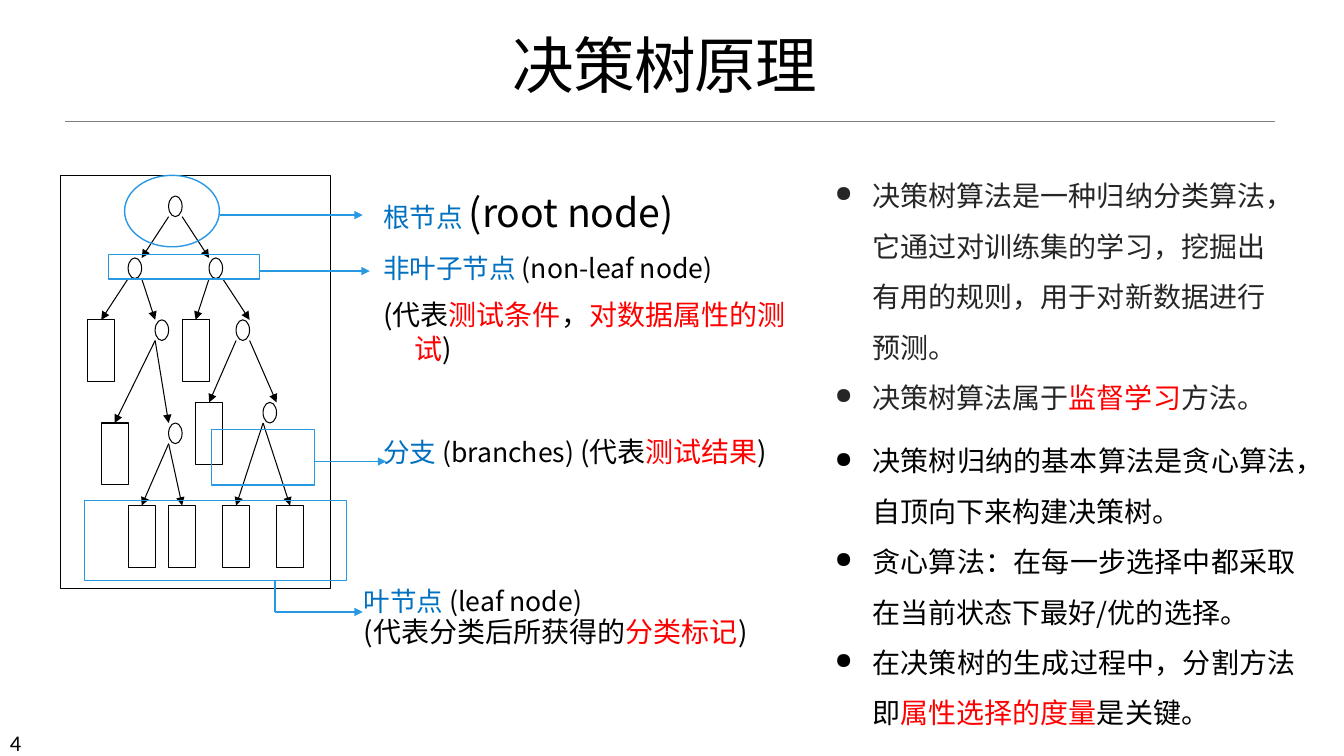
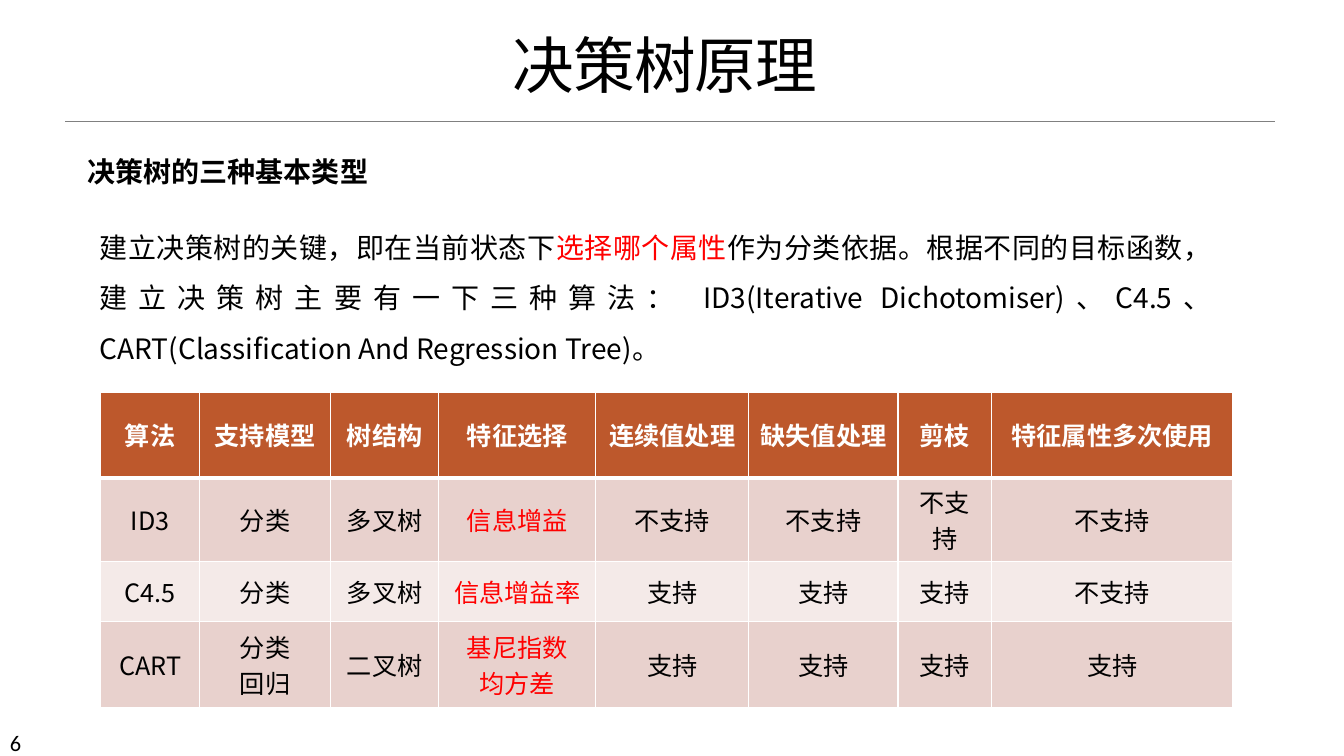
import dataclasses

import lxml.etree
import pptx
import pptx.dml.color
import pptx.enum.shapes
import pptx.enum.text
import pptx.oxml.ns
import pptx.util

Cm = pptx.util.Cm
Pt = pptx.util.Pt
qn = pptx.oxml.ns.qn
RGB = pptx.dml.color.RGBColor.from_string
ALIGN = pptx.enum.text.PP_ALIGN
SHAPE = pptx.enum.shapes.MSO_SHAPE


@dataclasses.dataclass(frozen=True)
class Theme:
    font: str = "Noto Sans CJK SC"
    number_font: str = "Calibri"
    black: str = "000000"
    white: str = "FFFFFF"
    charcoal: str = "262626"
    gray: str = "808080"
    red: str = "FF0000"
    label: str = "0070C0"
    callout: str = "2998E3"
    header: str = "BD582C"
    band_dark: str = "E8D1CD"
    band_light: str = "F4EAE8"
    title_size: int = 44
    root_size: int = 28
    body_size: int = 20
    label_size: int = 19
    table_size: int = 18
    number_size: int = 16
    loose: float = 1.5
    tight: float = 0.5


THEME = Theme()


def write(frame, paras, size=THEME.body_size, color=THEME.black, font=THEME.font,
          bold=False, align=ALIGN.LEFT, spacing=1.0, before=0, left=0, hanging=0,
          bullet=None, tracking=None):
    """Fill a frame; a span is plain text or (text, color[, size])."""
    for index, spans in enumerate(paras):
        para = frame.paragraphs[0] if index == 0 else frame.add_paragraph()
        para.alignment = align
        para.line_spacing = spacing
        if before and index:
            para.space_before = Pt(before)
        properties = para._p.get_or_add_pPr()
        if left:
            properties.set("marL", str(Cm(left)))
            properties.set("indent", str(-Cm(hanging)))
        if bullet:
            lxml.etree.SubElement(properties, qn("a:buSzPct")).set("val", "80000")
            lxml.etree.SubElement(properties, qn("a:buChar")).set("char", bullet)
        for item in [spans] if isinstance(spans, str) else spans:
            text, *own = (item,) if isinstance(item, str) else item
            span = para.add_run()
            span.text = text
            span.font.color.rgb = RGB(own[0] if own else color)
            span.font.size = Pt(own[1] if len(own) > 1 else size)
            span.font.bold = bold
            span.font.name = font
            run_properties = span._r.get_or_add_rPr()
            lxml.etree.SubElement(run_properties, qn("a:ea")).set("typeface", font)
            if tracking:
                run_properties.set("spc", str(tracking))


def draw_line(shapes, start, end, color, width, arrow=True, target=None):
    """Draw a line between points in cm; target is a box joined at its top."""
    line = shapes.add_connector(pptx.enum.shapes.MSO_CONNECTOR.STRAIGHT,
                                *(Cm(value) for value in (*start, *end)))
    if target is not None:
        line.end_connect(target, 0)
    line.line.color.rgb = RGB(color)
    line.line.width = Pt(width)
    if arrow:
        stroke = line.line._get_or_add_ln()
        lxml.etree.SubElement(stroke, qn("a:tailEnd")).set("type", "triangle")
    lxml.etree.SubElement(line._element.spPr, qn("a:effectLst"))


deck = pptx.Presentation()
deck.slide_width = Cm(33.87)
deck.slide_height = Cm(19.05)

# Shared title, rule and page number
pages = []
for number in ("4", "6"):
    page = deck.slides.add_slide(deck.slide_layouts[6])
    draw_line(page.shapes, (1.65, 3.05), (32.13, 3.05), THEME.gray, 0.5, arrow=False)
    box = page.shapes.add_textbox(Cm(0), Cm(18.24), Cm(2.97), Cm(0.76))
    write(box.text_frame, [number], size=THEME.number_size, font=THEME.number_font)
    box = page.shapes.add_textbox(Cm(0.97), Cm(0.61), Cm(31.57), Cm(2.06))
    box.text_frame.word_wrap = True
    box.text_frame.vertical_anchor = pptx.enum.text.MSO_ANCHOR.BOTTOM
    write(box.text_frame, ["决策树原理"], size=THEME.title_size, align=ALIGN.CENTER,
          spacing=0.85, tracking=-50)
    pages.append(page)
tree_page, types_page = pages

# Decision tree on a 20 by 20 grid
TREE_LEFT, TREE_TOP = 1.53, 4.42
COLUMN, ROW, GRID = 0.34, 0.52, 20
node_cells = [(8, 1), (5, 4), (11, 4), (7, 7), (13, 7), (15, 11), (8, 12)]
leaf_cells = [(2, 7), (9, 7), (10, 11), (3, 12), (5, 16), (8, 16), (12, 16), (16, 16)]
branches = [
    ((8, 2), (6, 4)), ((9, 2), (11, 4)),
    ((5, 5), (3, 7)), ((6, 5), (7, 7)),
    ((11, 5), (10, 7)), ((12, 5), (14, 7)),
    ((13, 8), (11, 11)), ((14, 8), (16, 11)),
    ((7, 8), (4, 12)), ((7, 8), (8, 12)),
    ((8, 13), (6, 16)), ((8, 13), (9, 16)),
    ((15, 12), (13, 16)), ((15, 12), (17, 16)),
]
tree = tree_page.shapes.add_group_shape()
tree_outlines = [(SHAPE.RECTANGLE, 0, 0, GRID, GRID)]
tree_outlines += [(SHAPE.OVAL, x, y, 1, 1) for x, y in node_cells]
tree_outlines += [(SHAPE.RECTANGLE, x, y, 2, 3) for x, y in leaf_cells]
outlines = [
    (tree.shapes, kind, TREE_LEFT + x * COLUMN, TREE_TOP + y * ROW,
     width * COLUMN, height * ROW, THEME.black, 0.75, width < GRID)
    for kind, x, y, width, height in tree_outlines
]
outlines += [
    (tree_page.shapes, kind, *area, THEME.callout, 1, False)
    for kind, *area in [
        (SHAPE.OVAL, 3.14, 4.42, 2.39, 1.8),
        (SHAPE.RECTANGLE, 2.73, 6.42, 3.81, 0.61),
        (SHAPE.RECTANGLE, 5.33, 10.82, 2.59, 1.4),
        (SHAPE.RECTANGLE, 2.13, 12.62, 6.6, 2.01),
    ]
]
drawn = []
for shapes, kind, left, top, width, height, color, weight, filled in outlines:
    shape = shapes.add_shape(kind, Cm(left), Cm(top), Cm(width), Cm(height))
    shape.shadow.inherit = False
    if filled:
        shape.fill.solid()
        shape.fill.fore_color.rgb = RGB(THEME.white)
    else:
        shape.fill.background()
    shape.line.color.rgb = RGB(color)
    shape.line.width = Pt(weight)
    drawn.append(shape)

first_leaf = 1 + len(node_cells)
leaves = {(x + 1, y): drawn[first_leaf + index]
          for index, (x, y) in enumerate(leaf_cells)}
for start, end in branches:
    points = [(TREE_LEFT + x * COLUMN, TREE_TOP + y * ROW) for x, y in (start, end)]
    draw_line(tree.shapes, *points, THEME.black, 0.75, target=leaves.get(end))

for start, end, weight, arrow in [
    ((5.54, 5.42), (9.14, 5.42), 1, True),
    ((6.53, 6.83), (9.32, 6.83), 1, True),
    ((7.92, 11.63), (9.73, 11.63), 1, True),
    ((6.93, 14.63), (6.93, 15.42), 0.75, False),
    ((6.93, 15.42), (9.14, 15.42), 1, True),
]:
    draw_line(tree_page.shapes, start, end, THEME.callout, weight, arrow)

# Running text of both pages
label_format = dict(left=2.06, hanging=0.79, before=10)
leaf_format = {**label_format, "spacing": THEME.tight}
bullet_format = dict(left=0.95, hanging=0.95, bullet="●", align=ALIGN.JUSTIFY,
                     spacing=THEME.loose)
name_format = (THEME.label, THEME.label_size)
english_format = (THEME.black, THEME.label_size)

texts = [
    (tree_page, (8.14, 4.62, 13.39, 1.45), label_format, [
        [("根节点 ", *name_format), ("(root node)", THEME.black, THEME.root_size)],
    ]),
    (tree_page, (8.14, 6.22, 12.5, 2.36), label_format, [
        [("非叶子节点 ", *name_format), ("(non-leaf node)", *english_format)],
        ["(代表", ("测试条件", THEME.red), "，", ("对数据属性的测试", THEME.red), ")"],
    ]),
    (tree_page, (8.14, 10.82, 14.81, 1.12), label_format, [
        [("分支 ", *name_format), ("(branches) ", *english_format),
         "(代表", ("测试结果", THEME.red), ")"],
    ]),
    (tree_page, (7.65, 14.96, 14.81, 1.52), leaf_format, [
        [("叶节点 ", *name_format), ("(leaf node)", *english_format)],
        ["(代表分类后所获得的", ("分类标记", THEME.red), ")"],
    ]),
    (tree_page, (20.79, 3.96, 11.35, 6.53), {**bullet_format, "color": THEME.charcoal}, [
        "决策树算法是一种归纳分类算法，它通过对训练集的学习，挖掘出有用的规则，用于对新数据进行预测。",
        ["决策树算法属于", ("监督学习", THEME.red), "方法。"],
    ]),
    (tree_page, (20.79, 10.64, 12.11, 7.8), bullet_format, [
        "决策树归纳的基本算法是贪心算法，自顶向下来构建决策树。",
        "贪心算法：在每一步选择中都采取在当前状态下最好/优的选择。",
        ["在决策树的生成过程中，分割方法即", ("属性选择的度量", THEME.red), "是关键。"],
    ]),
    (types_page, (1.96, 3.78, 16.94, 1.12), dict(bold=True), [
        "决策树的三种基本类型",
    ]),
    (types_page, (2.26, 5.26, 28.52, 3.91),
     dict(align=ALIGN.JUSTIFY, spacing=THEME.loose), [
        ["建立决策树的关键，即在当前状态下", ("选择哪个属性", THEME.red),
         "作为分类依据。根据不同的目标函数，建立决策树主要有一下三种算法： "
         "ID3(Iterative Dichotomiser)、C4.5、"
         "CART(Classification And Regression Tree)。"],
    ]),
]
for page, area, text_format, paras in texts:
    box = page.shapes.add_textbox(*(Cm(value) for value in area))
    box.text_frame.word_wrap = True
    box.text_frame.auto_size = pptx.enum.text.MSO_AUTO_SIZE.SHAPE_TO_FIT_TEXT
    write(box.text_frame, paras, **text_format)

# Comparison table; a line break separates paragraphs of a cell
rows = [
    ("算法", "支持模型", "树结构", "特征选择", "连续值处理", "缺失值处理", "剪枝",
     "特征属性多次使用"),
    ("ID3", "分类", "多叉树", "信息增益", "不支持", "不支持", "不支持", "不支持"),
    ("C4.5", "分类", "多叉树", "信息增益率", "支持", "支持", "支持", "不支持"),
    ("CART", "分类\n回归", "二叉树", "基尼指数\n均方差", "支持", "支持", "支持", "支持"),
]
column_widths = [2.49, 3.3, 2.73, 3.95, 3.86, 3.76, 2.36, 6.08]
row_heights = [2.16, 2.11, 1.52, 2.16]
row_fills = [THEME.header, THEME.band_dark, THEME.band_light, THEME.band_dark]
FEATURE_COLUMN = 3

table = types_page.shapes.add_table(
    len(rows), len(column_widths), Cm(2.54), Cm(9.88),
    Cm(sum(column_widths)), Cm(sum(row_heights))).table
for column, width in zip(table.columns, column_widths):
    column.width = Cm(width)
for row_index, values in enumerate(rows):
    table.rows[row_index].height = Cm(row_heights[row_index])
    is_header = row_index == 0
    for column_index, value in enumerate(values):
        cell = table.cell(row_index, column_index)
        cell.vertical_anchor = pptx.enum.text.MSO_ANCHOR.MIDDLE
        borders = {"L": 1, "R": 1, "T": 3 if row_index == 1 else 1,
                   "B": 3 if is_header else 1}
        for side, weight in borders.items():
            border = lxml.etree.SubElement(cell._tc.get_or_add_tcPr(), qn("a:ln" + side))
            border.set("w", str(Pt(weight)))
            paint = lxml.etree.SubElement(border, qn("a:solidFill"))
            lxml.etree.SubElement(paint, qn("a:srgbClr")).set("val", THEME.white)
        cell.fill.solid()
        cell.fill.fore_color.rgb = RGB(row_fills[row_index])
        if is_header:
            color = THEME.white
        else:
            color = THEME.red if column_index == FEATURE_COLUMN else THEME.black
        write(cell.text_frame, value.split("\n"), size=THEME.table_size, color=color,
              bold=is_header, align=ALIGN.CENTER)

deck.save("out.pptx")
